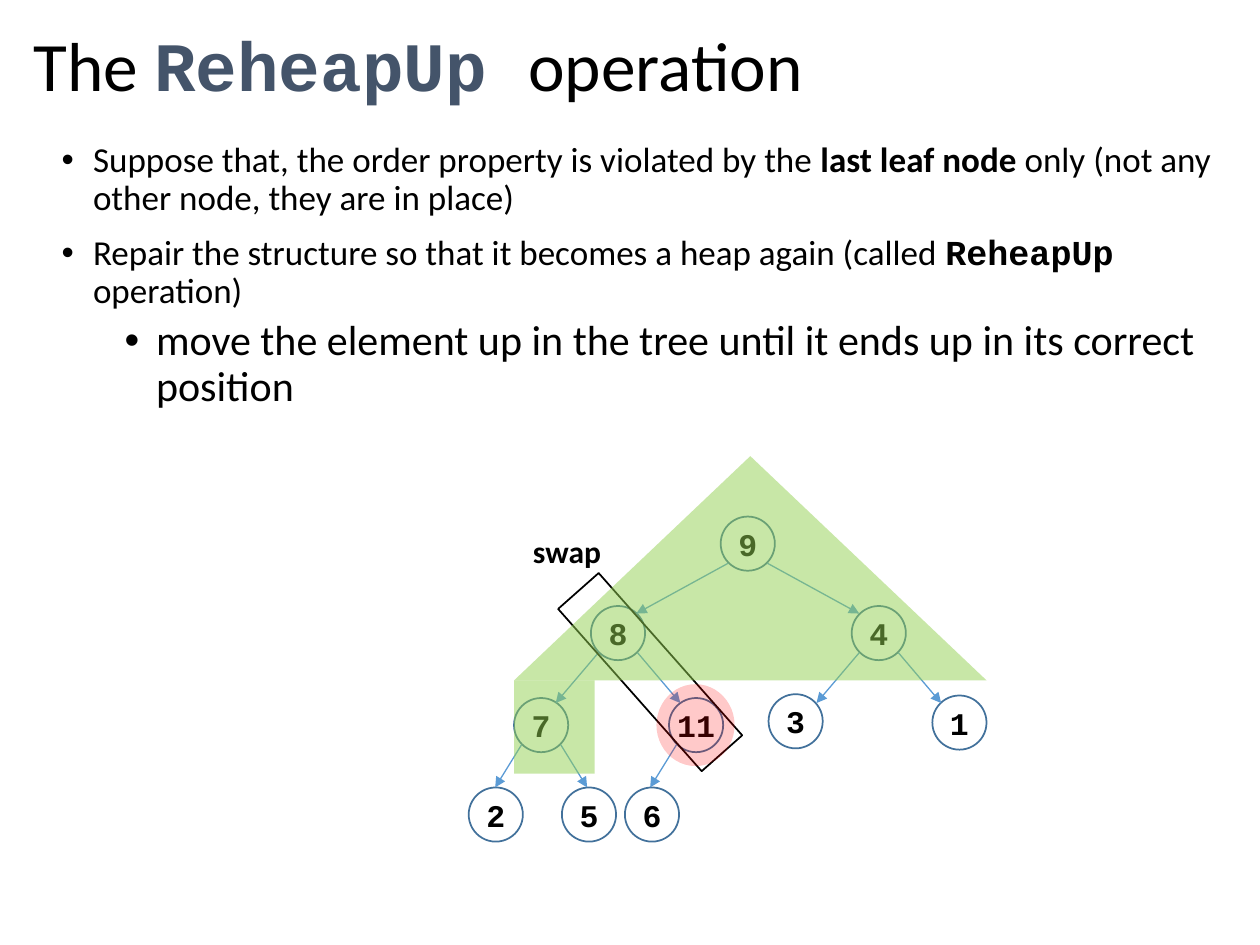
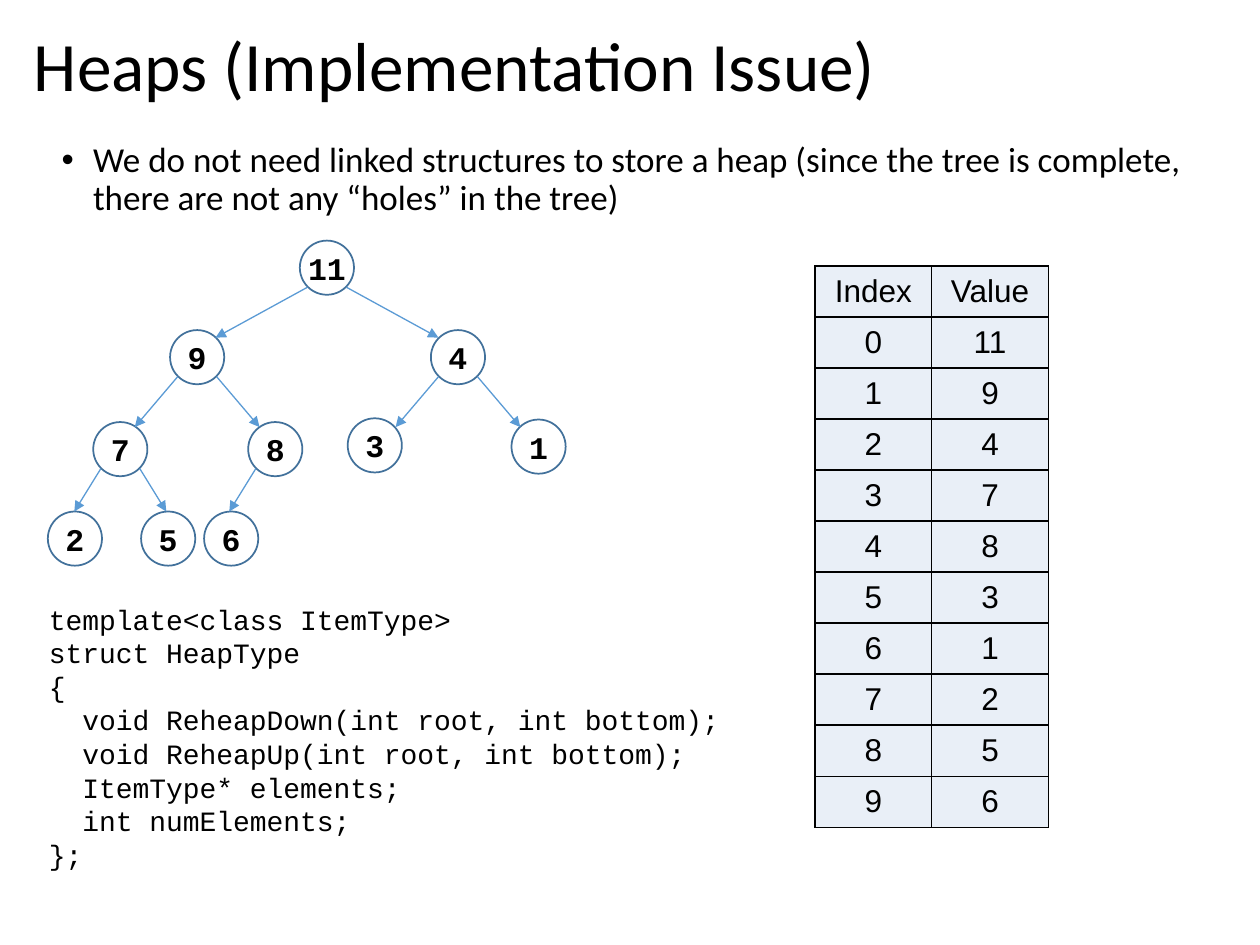
from lxml import etree
from pptx import Presentation
from pptx.dml.color import RGBColor
from pptx.enum.shapes import MSO_CONNECTOR, MSO_SHAPE
from pptx.enum.text import MSO_ANCHOR, PP_ALIGN
from pptx.oxml.ns import qn
from pptx.util import Inches, Pt

CENTER, LEFT = PP_ALIGN.CENTER, PP_ALIGN.LEFT
MIDDLE, TOP = MSO_ANCHOR.MIDDLE, MSO_ANCHOR.TOP
OVAL, RECT = MSO_SHAPE.OVAL, MSO_SHAPE.RECTANGLE
PROCESS, TRIANGLE = MSO_SHAPE.FLOWCHART_PROCESS, MSO_SHAPE.ISOSCELES_TRIANGLE
STRAIGHT = MSO_CONNECTOR.STRAIGHT

BODY_FONT, CODE_FONT, TABLE_FONT = "Calibri", "Courier New", "Arial"
BLACK, SLATE = "000000", "44546A"
NODE_LINE, ARROW = "42719B", "5B9BD5"
GREEN, RED, CELL_FILL = "92D050", "FF0000", "E9EFF7"

# Content: a run is plain text or (text, style)
UP_TITLE = ["The ", ("ReheapUp ", dict(font=CODE_FONT, bold=True, color=SLATE)),
            "operation"]
UP_BULLETS = [
    (0, ["Suppose that, the order property is violated by the ",
         ("last leaf node", dict(bold=True)),
         " only (not any other node, they are in place)"]),
    (0, ["Repair the structure so that it becomes a heap again (called ",
         ("ReheapUp", dict(font=CODE_FONT, bold=True)), " operation)"]),
    (1, ["move the element up in the tree until it ends up in its correct position"]),
]
BROKEN_HEAP = [9, 8, 4, 7, 11, 3, 1, 2, 5, 6]
HIGHLIGHTS = [  # shape, box, colour, opacity in percent
    (OVAL, (5.21, 5.43, 0.62, 0.65), RED, 21),
    (PROCESS, (4.08, 5.4, 0.64, 0.74), GREEN, 50),
    (TRIANGLE, (4.08, 3.62, 3.75, 1.78), GREEN, 50),
]

ISSUE_TITLE = ["Heaps (Implementation Issue)"]
ISSUE_BULLETS = [
    (0, ["We do not need linked structures to store a heap (since the tree is "
         "complete, there are not any “holes” in the tree)"]),
]
HEAP = [11, 9, 4, 7, 8, 3, 1, 2, 5, 6]
CODE = """template<class ItemType>
struct HeapType
{
  void ReheapDown(int root, int bottom);
  void ReheapUp(int root, int bottom);
  ItemType* elements;
  int numElements;
};""".split("\n")

# Tree layout: node offsets from the root in heap order, arrow runs by level
NODE = 0.43
OFFSETS = [(0, 0), (-1.03, 0.71), (1.04, 0.71),
           (-1.64, 1.44), (-0.41, 1.44), (0.38, 1.41), (1.68, 1.42),
           (-2, 2.15), (-1.26, 2.15), (-0.76, 2.15)]
ARROW_RUNS = [(0.73, 0.4), (0.34, 0.4), (0.21, 0.34)]
NEAR, FAR = 0.06, 0.37  # where arrows leave a node, within its box

# Bullet styles by level: size, indent, space before
LEVELS = [(20, 0.25, 10), (24, 0.75, 5)]


def rgb(color):
    return RGBColor.from_string(color)


def box(*lengths):
    return [Inches(v) for v in lengths]


def add_runs(p, runs, size, font=BODY_FONT, color=BLACK, bold=False):
    for run in runs:
        text, style = (run, {}) if isinstance(run, str) else run
        r = p.add_run()
        r.text = text
        r.font.size = Pt(size)
        r.font.name = style.get("font", font)
        r.font.bold = style.get("bold", bold)
        r.font.color.rgb = rgb(style.get("color", color))


def add_text(slide, at, anchor=TOP):
    tf = slide.shapes.add_textbox(*box(*at)).text_frame
    tf.word_wrap = True
    tf.vertical_anchor = anchor
    return tf


def add_shape(slide, kind, at, line=None, fill=None, opacity=100):
    sp = slide.shapes.add_shape(kind, *box(*at))
    sp.shadow.inherit = False
    if fill:
        sp.fill.solid()
        sp.fill.fore_color.rgb = rgb(fill)
        clr = sp.fill._xPr.find(".//" + qn("a:srgbClr"))
        etree.SubElement(clr, qn("a:alpha"), val=str(opacity * 1000))
    else:
        sp.fill.background()
    if line:
        sp.line.color.rgb = rgb(line)
        sp.line.width = Pt(1)
    else:
        sp.line.fill.background()
    return sp


def add_arrow(slide, x, y, dx, dy):
    c = slide.shapes.add_connector(STRAIGHT, *box(x, y, x + dx, y + dy))
    c.line.color.rgb = rgb(ARROW)
    c.line.width = Pt(0.75)
    etree.SubElement(c.line._get_or_add_ln(), qn("a:tailEnd"), type="triangle")
    etree.SubElement(c._element.spPr, qn("a:effectLst"))


def add_bullet(p, level, runs, first):
    size, indent, before = LEVELS[level]
    p.level = level
    p.line_spacing = 0.9
    p.space_before = Pt(0 if first else before)
    pPr = p._p.get_or_add_pPr()
    pPr.set("marL", str(Inches(indent)))
    pPr.set("indent", str(-Inches(0.25)))
    clr = etree.SubElement(pPr, qn("a:buClr"))
    etree.SubElement(clr, qn("a:srgbClr"), val=BLACK)
    etree.SubElement(pPr, qn("a:buFont"), typeface="Arial")
    etree.SubElement(pPr, qn("a:buChar"), char="•")
    add_runs(p, runs, size)


def add_slide(prs, title, bullets, body_height):
    slide = prs.slides.add_slide(prs.slide_layouts[6])
    p = add_text(slide, (0.17, 0.18, 9.62, 0.74), MIDDLE).paragraphs[0]
    p.line_spacing = 0.9
    add_runs(p, title, 39.6)
    tf = add_text(slide, (0.39, 1.08, 9.4, body_height))
    for i, (level, runs) in enumerate(bullets):
        p = tf.add_paragraph() if i else tf.paragraphs[0]
        add_bullet(p, level, runs, i == 0)
    return slide


def add_tree(slide, left, top, values):
    for i, (value, (dx, dy)) in enumerate(zip(values, OFFSETS)):
        sp = add_shape(slide, OVAL, (left + dx, top + dy, NODE, NODE), NODE_LINE)
        tf = sp.text_frame
        tf.margin_left = tf.margin_right = tf.margin_top = tf.margin_bottom = 0
        tf.vertical_anchor = MIDDLE
        tf.word_wrap = True
        p = tf.paragraphs[0]
        p.alignment = CENTER
        add_runs(p, [str(value)], 18, CODE_FONT, bold=True)
        # Arrow from the parent
        if i:
            px, py = OFFSETS[(i - 1) // 2]
            level = (i + 1).bit_length() - 2
            run, drop = ARROW_RUNS[level]
            start, side = (NEAR, -1) if i % 2 else (FAR, 1)
            add_arrow(slide, left + px + start, top + py + FAR, side * run, drop)


def style_cell(cell, text):
    cell.vertical_anchor = MIDDLE
    p = cell.text_frame.paragraphs[0]
    p.alignment = CENTER
    add_runs(p, [text], 18, TABLE_FONT)
    tcPr = cell._tc.get_or_add_tcPr()
    for side in ("lnL", "lnR", "lnT", "lnB"):
        ln = etree.SubElement(tcPr, qn("a:" + side), w=str(Pt(1)))
        solid = etree.SubElement(ln, qn("a:solidFill"))
        etree.SubElement(solid, qn("a:srgbClr"), val=BLACK)
    cell.fill.solid()
    cell.fill.fore_color.rgb = rgb(CELL_FILL)


def add_heap_table(slide, at, values):
    rows = [("Index", "Value")] + [(str(i), str(v)) for i, v in enumerate(values)]
    table = slide.shapes.add_table(len(rows), 2, *box(*at)).table
    table.first_row = table.horz_banding = False
    for r, row in enumerate(rows):
        for c, text in enumerate(row):
            style_cell(table.cell(r, c), text)


def build_reheap_up(prs):
    slide = add_slide(prs, UP_TITLE, UP_BULLETS, 2.34)
    add_tree(slide, 5.72, 4.1, BROKEN_HEAP)
    # Swap frame and label
    add_shape(slide, RECT, (4.3, 5.12, 1.72, 0.43), BLACK).rotation = 48.5
    p = add_text(slide, (3.95, 4.17, 1.1, 0.4)).paragraphs[0]
    p.alignment = CENTER
    add_runs(p, ["swap"], 18, bold=True)
    # Ordered part in green, misplaced leaf in red
    for kind, at, color, opacity in HIGHLIGHTS:
        add_shape(slide, kind, at, fill=color, opacity=opacity)


def build_implementation(prs):
    slide = add_slide(prs, ISSUE_TITLE, ISSUE_BULLETS, 1.94)
    add_tree(slide, 2.38, 1.91, HEAP)
    tf = add_text(slide, (0.29, 4.73, 5.68, 2.26))
    for i, line in enumerate(CODE):
        p = tf.add_paragraph() if i else tf.paragraphs[0]
        p.alignment = LEFT
        add_runs(p, [line], 16, CODE_FONT)
    add_heap_table(slide, (6.47, 2.11, 1.85, 4.46), HEAP)


def main():
    prs = Presentation()
    prs.slide_width, prs.slide_height = box(10, 7.5)
    build_reheap_up(prs)
    build_implementation(prs)
    prs.save("out.pptx")


if __name__ == "__main__":
    main()
